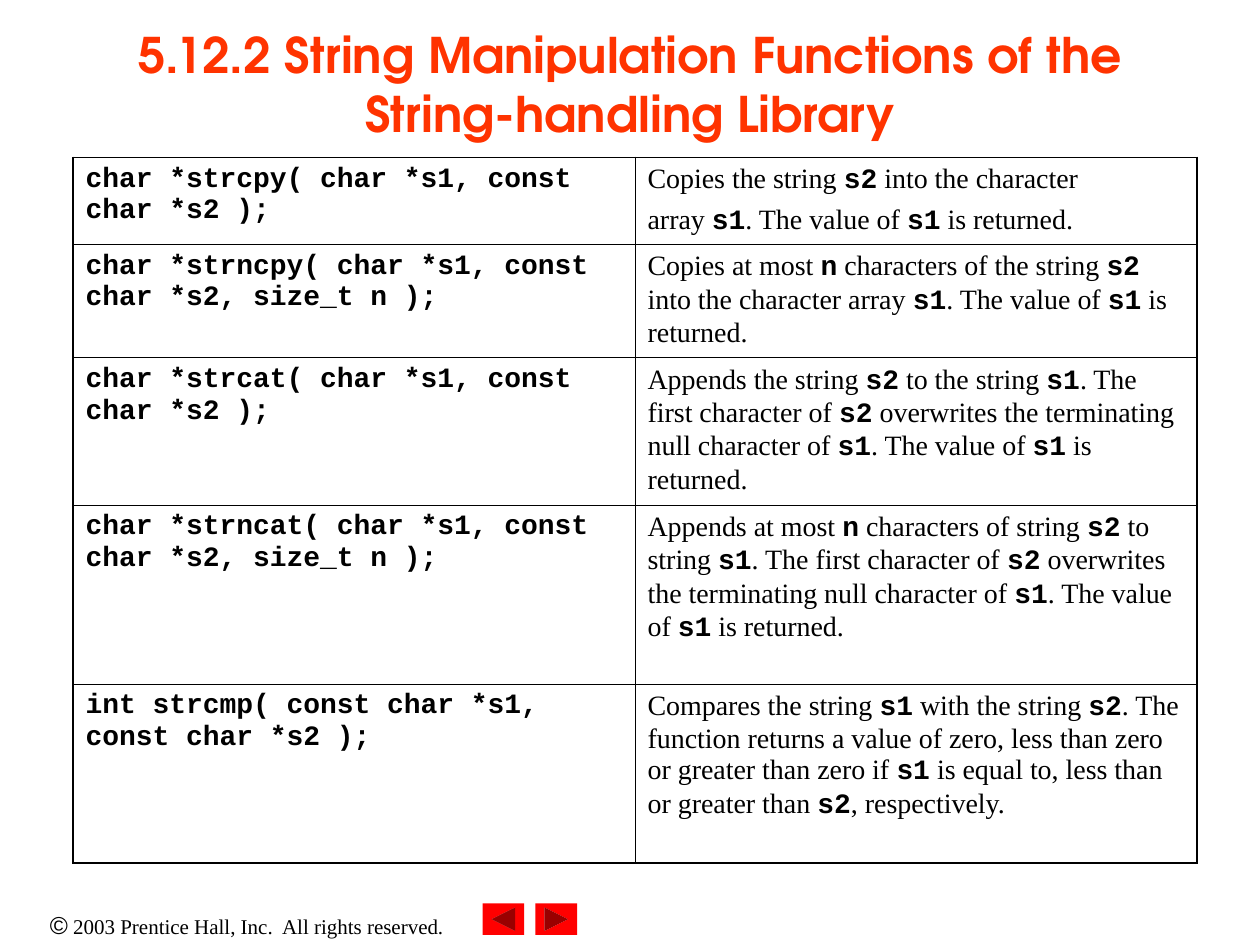
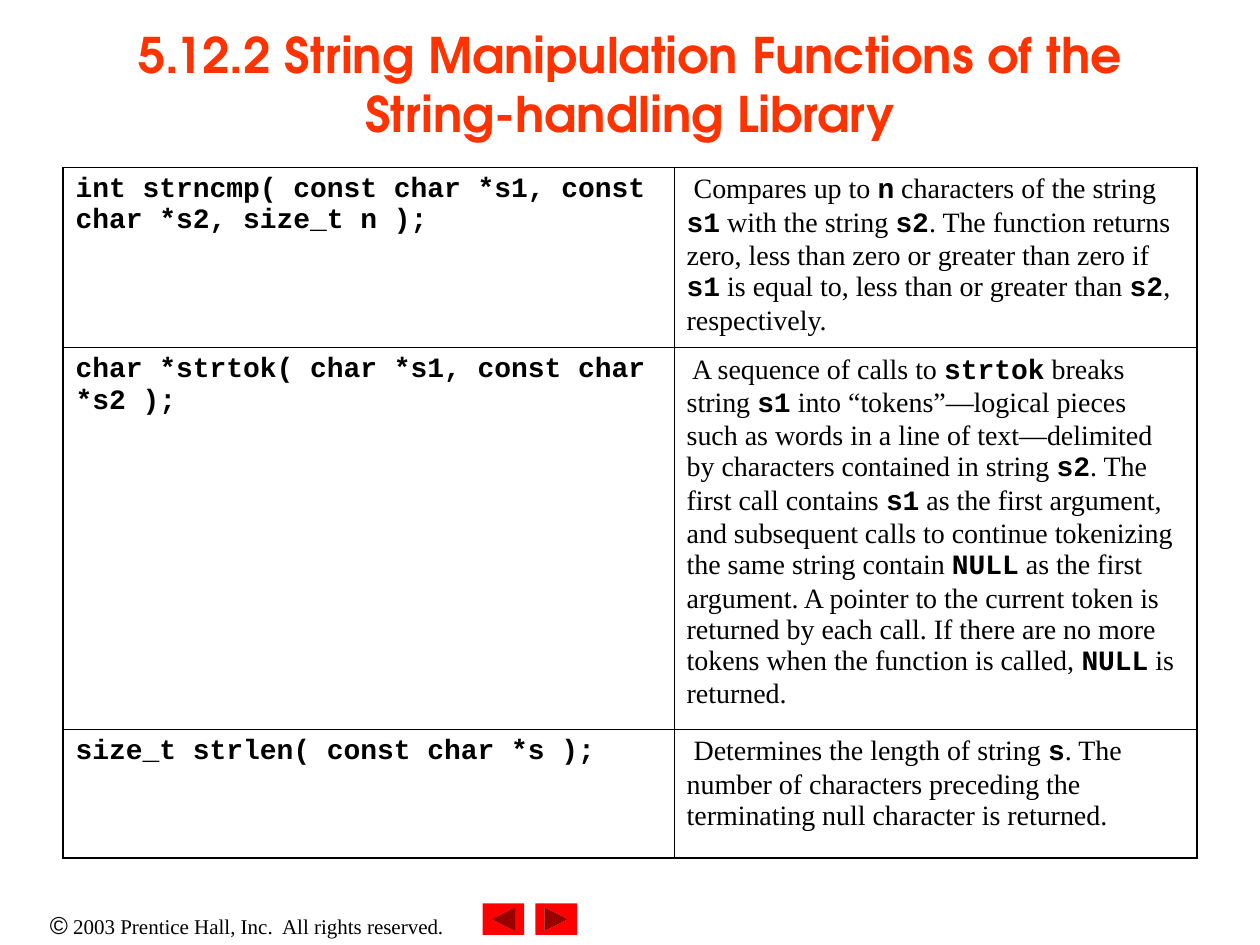
from lxml import etree
from pptx import Presentation
from pptx.dml.color import RGBColor
from pptx.enum.shapes import MSO_SHAPE
from pptx.enum.text import MSO_ANCHOR, MSO_AUTO_SIZE, PP_ALIGN
from pptx.oxml.ns import qn
from pptx.util import Inches, Pt

FORWARD_BUTTON = MSO_SHAPE.ACTION_BUTTON_FORWARD_OR_NEXT
MIDDLE = MSO_ANCHOR.MIDDLE
NO_AUTOFIT = MSO_AUTO_SIZE.NONE
CENTER = PP_ALIGN.CENTER

BLACK = RGBColor(0x00, 0x00, 0x00)
WHITE = RGBColor(0xFF, 0xFF, 0xFF)
RED = RGBColor(0xFF, 0x00, 0x00)
ORANGE_RED = RGBColor(0xFF, 0x33, 0x00)

TITLE_FONT = {"name": "TeX Gyre Adventor", "size": Pt(28), "bold": True}
PROSE_FONT = {"name": "Times New Roman", "size": Pt(16), "bold": False}
CODE_FONT = {"name": "Courier New", "size": Pt(16), "bold": True}
SYMBOL_FONT = {"name": "Arial", "size": Pt(14)}
COPYRIGHT_FONT = {"name": "Times New Roman", "size": Pt(12)}

TITLE = "5.12.2 String Manipulation Functions of the String-handling Library"
TITLE_BOX = (0.75, 0.08, 8.5, 1.17)
FOOTER_BOX = (0, 7.17, 3.92, 0.34)
BUTTON_BOXES = {(3.83, 7.17, 0.33, 0.25): 180, (4.25, 7.17, 0.33, 0.25): 0}
OUTER_LINE = Pt(1.08)
INNER_LINE = Pt(0.45)

COPY_AND_COMPARE = {
    "origin": (0.58, 1.25),
    "columns": (4.46, 4.46),
    "heights": (0.69, 0.9, 1.17, 1.42, 1.42),
    "functions": (
        ("char *strcpy( char *s1, const char *s2 );",
         "Copies the string `s2` into the character\n"
         "array `s1`. The value of `s1` is returned."),
        ("char *strncpy( char *s1, const char *s2, size_t n );",
         "Copies at most `n` characters of the string `s2` into the character "
         "array `s1`. The value of `s1` is returned."),
        ("char *strcat( char *s1, const char *s2 );",
         "Appends the string `s2` to the string `s1`. The first character of "
         "`s2` overwrites the terminating null character of `s1`. The value of "
         "`s1` is returned."),
        ("char *strncat( char *s1, const char *s2, size_t n );",
         "Appends at most `n` characters of string `s2` to string `s1`. The "
         "first character of `s2` overwrites the terminating null character of "
         "`s1`. The value of `s1` is returned."),
        ("int strcmp( const char *s1, const char *s2 );",
         "Compares the string `s1` with the string `s2`. The function returns a "
         "value of zero, less than zero or greater than zero if `s1` is equal "
         "to, less than or greater than `s2`, respectively."),
    ),
}
TOKENS_AND_LENGTH = {
    "origin": (0.5, 1.33),
    "columns": (4.85, 4.15),
    "heights": (1.43, 3.03, 1.02),
    "functions": (
        ("int strncmp( const char *s1, const char *s2, size_t n );",
         " Compares up to `n` characters of the string `s1` with the string "
         "`s2`. The function returns zero, less than zero or greater than zero "
         "if `s1` is equal to, less than or greater than `s2`, respectively."),
        ("char *strtok( char *s1, const char *s2 );",
         " A sequence of calls to `strtok` breaks string `s1` into "
         "“tokens”—logical pieces such as words in a line of text—delimited by "
         "characters contained in string `s2`. The first call contains `s1` as "
         "the first argument, and subsequent calls to continue tokenizing the "
         "same string contain `NULL` as the first argument. A pointer to the "
         "current token is returned by each call. If there are no more tokens "
         "when the function is called, `NULL` is returned."),
        ("size_t strlen( const char *s );",
         " Determines the length of string `s`. The number of characters "
         "preceding the terminating null character is returned."),
    ),
}


def add_run(paragraph, text, font_format, color=BLACK):
    """Append a run with the given font format and colour."""
    run = paragraph.add_run()
    run.text = text
    for name, value in font_format.items():
        setattr(run.font, name, value)
    run.font.color.rgb = color


def fill_cell(cell, text):
    """Write marked-up text into a cell, with code between backticks."""
    cell.fill.background()
    frame = cell.text_frame
    for index, line in enumerate(text.split("\n")):
        paragraph = frame.add_paragraph() if index else frame.paragraphs[0]
        if index:
            paragraph.space_before = Pt(4)
        for position, part in enumerate(line.split("`")):
            if part:
                add_run(paragraph, part, CODE_FONT if position % 2 else PROSE_FONT)


def set_borders(cell, widths):
    """Draw black borders of the given widths, keyed by side letter."""
    properties = cell._tc.get_or_add_tcPr()
    for index, (side, width) in enumerate(widths.items()):
        line = etree.Element(qn(f"a:ln{side}"), w=str(width))
        fill = etree.SubElement(line, qn("a:solidFill"))
        etree.SubElement(fill, qn("a:srgbClr"), val=str(BLACK))
        properties.insert(index, line)


def add_title(slide, box):
    """Place and format the title placeholder."""
    title = slide.shapes.title
    title.left, title.top, title.width, title.height = map(Inches, box)
    frame = title.text_frame
    for name, value in {"word_wrap": True, "auto_size": NO_AUTOFIT,
                        "vertical_anchor": MIDDLE}.items():
        setattr(frame, name, value)
    paragraph = frame.paragraphs[0]
    paragraph.alignment = CENTER
    add_run(paragraph, TITLE, TITLE_FONT, ORANGE_RED)


def add_function_table(slide, origin, columns, heights, functions):
    """Build a table of prototypes and descriptions from its top left corner."""
    box = (*origin, sum(columns), sum(heights))
    table = slide.shapes.add_table(len(heights), len(columns),
                                   *map(Inches, box)).table
    table.first_row = table.horz_banding = False
    for column, width in zip(table.columns, columns):
        column.width = Inches(width)
    last_row, last_column = len(heights) - 1, len(columns) - 1
    for row, (prototype, description) in enumerate(functions):
        table.rows[row].height = Inches(heights[row])
        for column, text in enumerate((f"`{prototype}`", description)):
            cell = table.cell(row, column)
            fill_cell(cell, text)
            on_edge = {"L": column == 0, "R": column == last_column,
                       "T": row == 0, "B": row == last_row}
            set_borders(cell, {side: OUTER_LINE if outer else INNER_LINE
                               for side, outer in on_edge.items()})


def add_footer(slide, box, button_boxes):
    """Add the copyright line and the two navigation buttons."""
    footer = slide.shapes.add_textbox(*map(Inches, box))
    footer.text_frame.word_wrap = True
    paragraph = footer.text_frame.paragraphs[0]
    paragraph.alignment = CENTER
    add_run(paragraph, "©", SYMBOL_FONT)
    add_run(paragraph, " 2003 Prentice Hall, Inc.  All rights reserved.",
            COPYRIGHT_FONT)
    for button_box, rotation in button_boxes.items():
        button = slide.shapes.add_shape(FORWARD_BUTTON, *map(Inches, button_box))
        button.rotation = rotation
        button.shadow.inherit = False
        button.fill.solid()
        button.fill.fore_color.rgb = RED
        button.line.fill.background()


def add_function_slide(presentation, content):
    """Add a title-only slide with a function table and the footer."""
    slide = presentation.slides.add_slide(presentation.slide_layouts[5])
    slide.background.fill.solid()
    slide.background.fill.fore_color.rgb = WHITE
    add_title(slide, TITLE_BOX)
    add_function_table(slide, **content)
    add_footer(slide, FOOTER_BOX, BUTTON_BOXES)


def main():
    """Build and save the presentation."""
    presentation = Presentation()
    presentation.slide_width = Inches(10)
    presentation.slide_height = Inches(7.5)
    for content in (COPY_AND_COMPARE, TOKENS_AND_LENGTH):
        add_function_slide(presentation, content)
    presentation.save("out.pptx")


if __name__ == "__main__":
    main()
